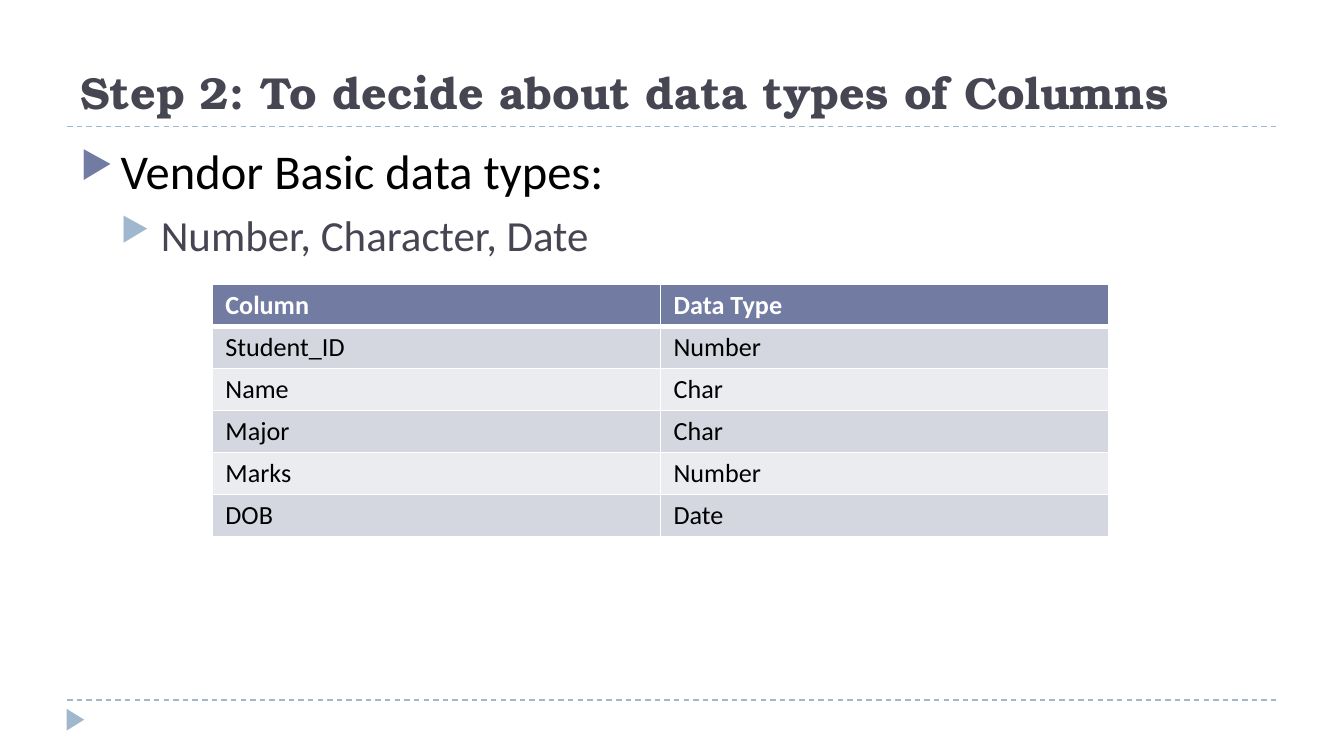
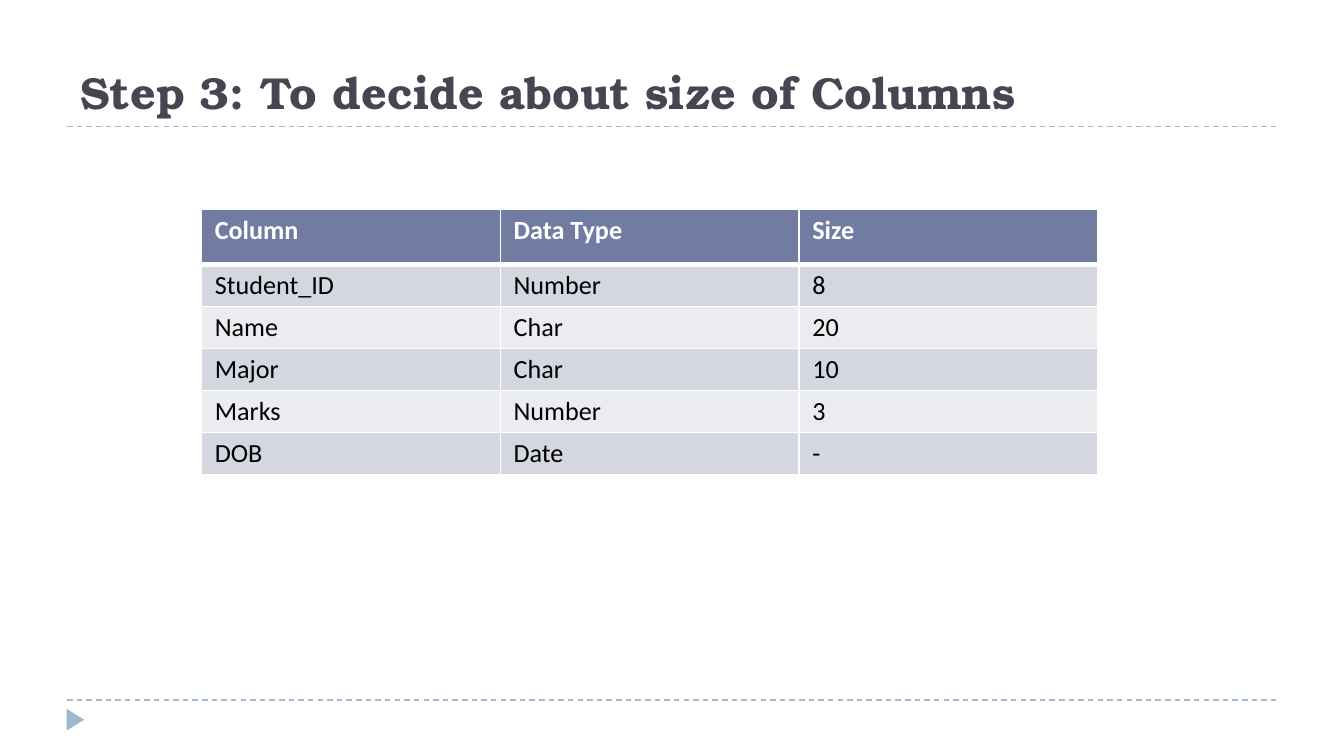
"""Build two slides on choosing the data types and sizes of table columns."""
import pptx
import pptx.dml.color
import pptx.enum.dml
import pptx.enum.shapes
import pptx.enum.text
import pptx.oxml.ns
import pptx.util
from lxml import etree

Cm, Pt = pptx.util.Cm, pptx.util.Pt
SHAPE = pptx.enum.shapes.MSO_SHAPE
STRAIGHT = pptx.enum.shapes.MSO_CONNECTOR.STRAIGHT
ALIGN = pptx.enum.text.PP_ALIGN
ANCHOR = pptx.enum.text.MSO_ANCHOR
qn = pptx.oxml.ns.qn

SLIDES = [
    {
        "title": "Step 2: To decide about data types of Columns",
        "bullets": [("Vendor Basic data types:", 0), ("Number, Character, Date", 1)],
        "rows": [
            ("Column", "Data Type"),
            ("Student_ID", "Number"),
            ("Name", "Char"),
            ("Major", "Char"),
            ("Marks", "Number"),
            ("DOB", "Date"),
        ],
        "table_at": (4.01, 5.38),
        "header_height": 0.78,
    },
    {
        "title": "Step 3: To decide about size of Columns",
        "bullets": [],
        "rows": [
            ("Column", "Data Type", "Size"),
            ("Student_ID", "Number", "8"),
            ("Name", "Char", "20"),
            ("Major", "Char", "10"),
            ("Marks", "Number", "3"),
            ("DOB", "Date", "-"),
        ],
        "table_at": (3.81, 3.96),
        "header_height": 1.04,
    },
]

COLORS = {
    "title": "464653",
    "accent": "727CA3",
    "rule": "9FB8CD",
    "text": "000000",
    "white": "FFFFFF",
    "band_dark": "D5D7E0",
    "band_light": "EBECF0",
}
TITLE_FONT = {"name": "TeX Gyre Bonum", "size": Pt(24), "bold": True}
HEADER_FONT = {"name": "Calibri", "size": Pt(14), "bold": True}
CELL_FONT = {**HEADER_FONT, "bold": False}
LEVELS = [
    {"size": 26, "color": "text", "bullet": "accent", "before": 0},
    {"size": 23, "color": "title", "bullet": "rule", "before": 5},
]
MARGIN, WIDTH = 1.27, 22.86
RULES = (2.39, 13.23)
INDENT = 0.76
TABLE_WIDTH, ROW_HEIGHT = 16.94, 0.79


def rgb(name):
    return pptx.dml.color.RGBColor.from_string(COLORS[name])


def apply(obj, values):
    for key, value in values.items():
        setattr(obj, key, value)


def write(p, text, font, color):
    r = p.add_run()
    r.text = text
    apply(r.font, font)
    r.font.color.rgb = rgb(color)


def add_box(s, top, height, anchor):
    tf = s.shapes.add_textbox(Cm(MARGIN), Cm(top), Cm(WIDTH), Cm(height)).text_frame
    apply(tf, {"word_wrap": True, "vertical_anchor": anchor})
    return tf


def add_frame(s, title):
    for y in RULES:
        ln = s.shapes.add_connector(STRAIGHT, Cm(MARGIN), Cm(y), Cm(MARGIN + WIDTH), Cm(y))
        ln.line.color.rgb = rgb("rule")
        apply(ln.line, {"width": Pt(0.75), "dash_style": pptx.enum.dml.MSO_LINE.DASH})
        etree.SubElement(ln._element.spPr, qn("a:effectLst"))
    sp = s.shapes.add_shape(SHAPE.ISOSCELES_TRIANGLE, Cm(1.22), Cm(13.44), Cm(0.41), Cm(0.33))
    sp.rotation = 90
    sp.shadow.inherit = False
    sp.fill.solid()
    sp.fill.fore_color.rgb = rgb("rule")
    sp.line.fill.background()
    tf = add_box(s, 0.3, 2.06, ANCHOR.BOTTOM)
    write(tf.paragraphs[0], title, TITLE_FONT, "title")


def add_bullets(s, bullets):
    tf = add_box(s, 2.54, 10.29, ANCHOR.TOP)
    for i, (text, depth) in enumerate(bullets):
        level = LEVELS[depth]
        p = tf.add_paragraph() if i else tf.paragraphs[0]
        pPr = p._p.get_or_add_pPr()
        pPr.set("marL", str(Cm(INDENT * (depth + 1))))
        pPr.set("indent", str(-Cm(INDENT)))
        clr = etree.SubElement(pPr, qn("a:buClr"))
        etree.SubElement(clr, qn("a:srgbClr"), val=COLORS[level["bullet"]])
        etree.SubElement(pPr, qn("a:buSzPct"), val="76000")
        etree.SubElement(pPr, qn("a:buChar"), char="▶")
        apply(p, {"level": depth, "alignment": ALIGN.JUSTIFY, "space_before": Pt(level["before"])})
        write(p, text, {"name": "Calibri", "size": Pt(level["size"])}, level["color"])


def add_borders(cell, widths):
    tcPr = cell._tc.get_or_add_tcPr()
    for side, width in widths.items():
        ln = etree.SubElement(tcPr, qn(f"a:ln{side}"), w=str(Pt(width)))
        fill = etree.SubElement(ln, qn("a:solidFill"))
        etree.SubElement(fill, qn("a:srgbClr"), val=COLORS["white"])


def add_grid(s, rows, table_at, header_height):
    left, top = table_at
    n = len(rows[0])
    height = header_height + ROW_HEIGHT * (len(rows) - 1)
    table = s.shapes.add_table(
        len(rows), n, Cm(left), Cm(top), Cm(TABLE_WIDTH), Cm(height)
    ).table
    for column in table.columns:
        column.width = Cm(TABLE_WIDTH / n)
    for i, row in enumerate(rows):
        table.rows[i].height = Cm(ROW_HEIGHT if i else header_height)
        band = ("band_light" if i % 2 == 0 else "band_dark") if i else "accent"
        for j, text in enumerate(row):
            cell = table.cell(i, j)
            add_borders(cell, {"L": 1, "R": 1, "T": 3 if i == 1 else 1, "B": 1 if i else 3})
            cell.fill.solid()
            cell.fill.fore_color.rgb = rgb(band)
            apply(cell, {"margin_left": Cm(0.25), "margin_right": Cm(0.25),
                         "margin_top": Cm(0.1), "margin_bottom": Cm(0.1)})
            p = cell.text_frame.paragraphs[0]
            p.alignment = ALIGN.JUSTIFY
            write(p, text, CELL_FONT if i else HEADER_FONT, "text" if i else "white")


def main():
    prs = pptx.Presentation()
    apply(prs, {"slide_width": Cm(25.4), "slide_height": Cm(14.29)})
    for content in SLIDES:
        s = prs.slides.add_slide(prs.slide_layouts[6])
        add_frame(s, content["title"])
        if content["bullets"]:
            add_bullets(s, content["bullets"])
        add_grid(s, content["rows"], content["table_at"], content["header_height"])
    prs.save("out.pptx")


if __name__ == "__main__":
    main()
